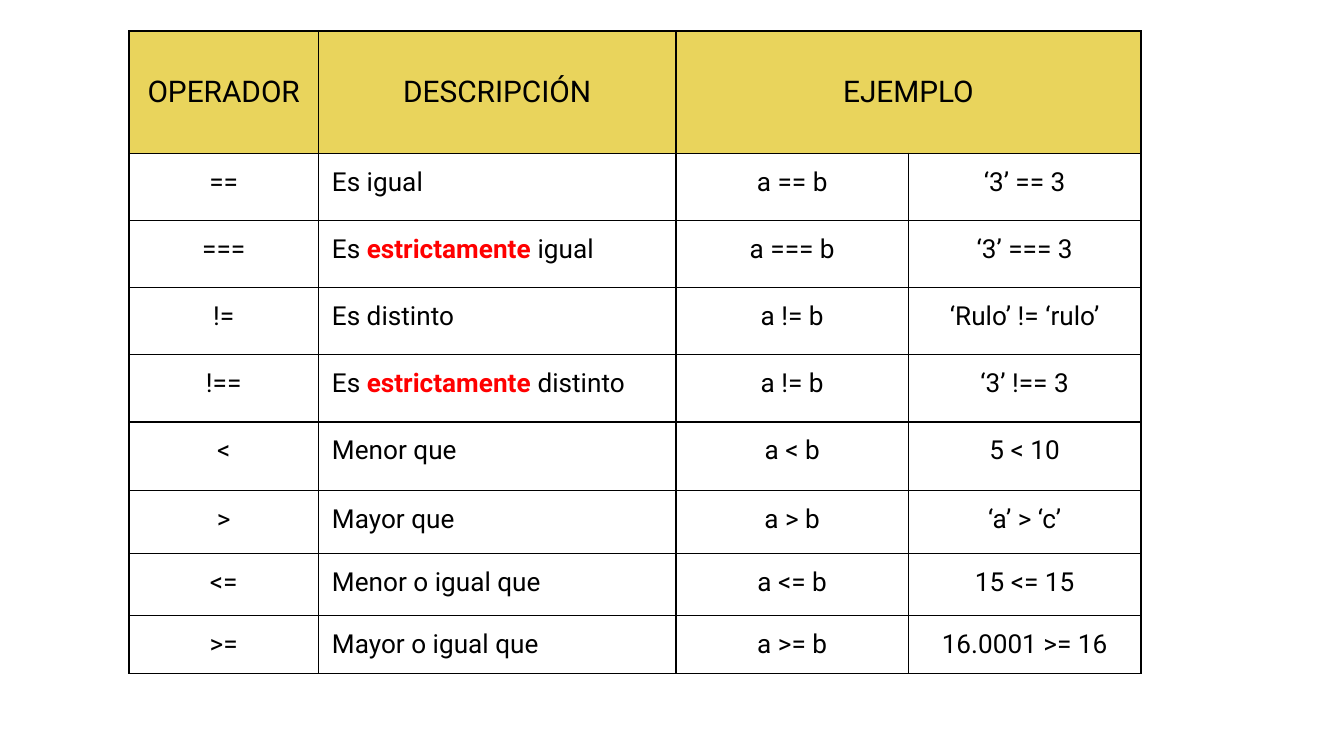
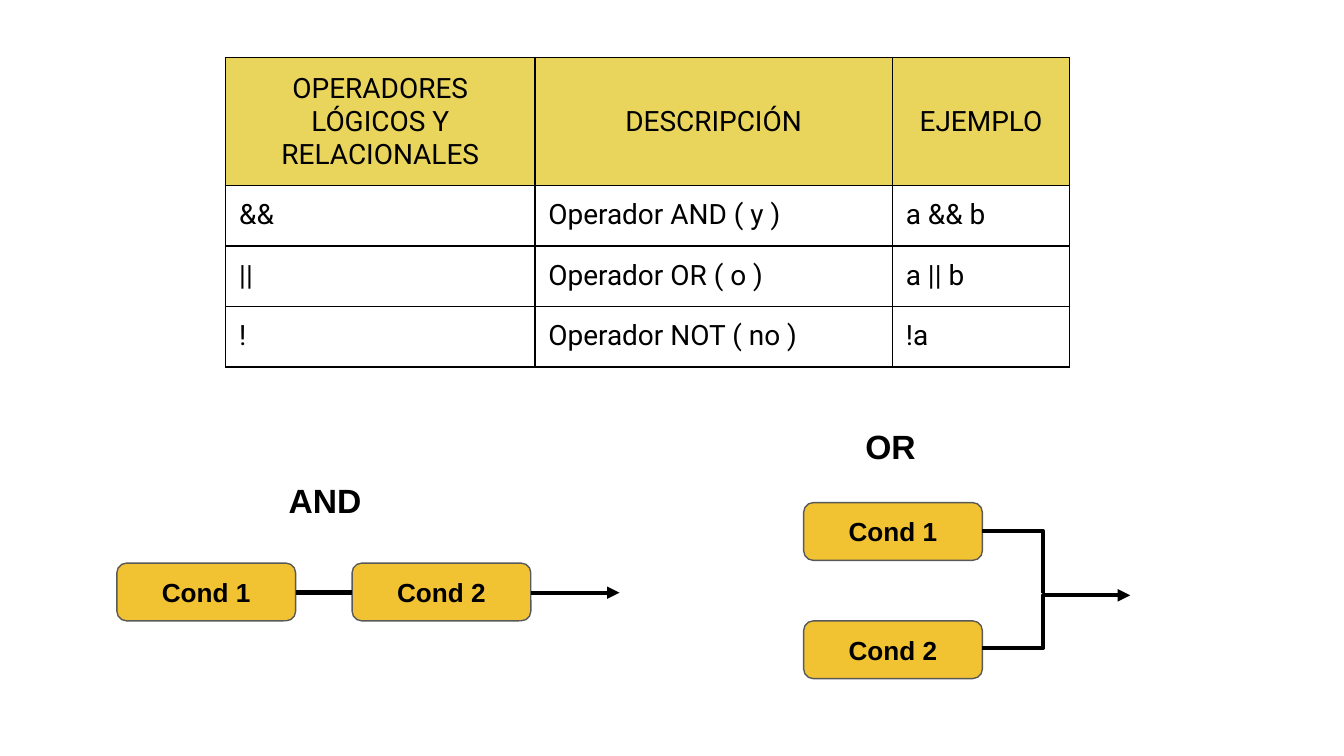
"""Builds two slides on comparison and logical operators."""
from lxml import etree
from pptx import Presentation
from pptx import util as u
from pptx.dml.color import RGBColor
from pptx.enum import shapes, text
from pptx.oxml import ns

PX = 9144
SLIDE_W = 1000 * PX
SLIDE_H = SLIDE_W * 9 // 16
BLACK = RGBColor(0x00, 0x00, 0x00)
RED = RGBColor(0xFF, 0x00, 0x00)
HEADER = RGBColor(0xE9, 0xD4, 0x5C)
AMBER = RGBColor(0xF1, 0xC2, 0x32)
GREY = RGBColor(0x59, 0x59, 0x59)
LEFT, CENTER = text.PP_ALIGN.LEFT, text.PP_ALIGN.CENTER
INSET = 10
BOX_W, BOX_H = 133, 43

COMPARISON = {
    "at": (96, 23),
    "cols": (141, 266, 173, 173),
    "rows": (91, 50, 50, 50, 50, 51, 47, 46, 43),
    "sizes": (16, 14),
    "aligns": (CENTER, LEFT, CENTER, CENTER),
    "cells": [
        ("OPERADOR", "DESCRIPCIÓN", "EJEMPLO"),
        ("==", "Es igual", "a == b", "‘3’ == 3"),
        ("===", "Es *estrictamente *igual", "a === b", "‘3’ === 3"),
        ("!=", "Es distinto", "a != b", "‘Rulo’ != ‘rulo’"),
        ("!==", "Es *estrictamente *distinto", "a != b", "‘3’ !== 3"),
        ("<", "Menor que", "a < b", "5 < 10"),
        (">", "Mayor que", "a > b", "‘a’ > ‘c’"),
        ("<=", "Menor o igual que", "a <= b", "15 <= 15"),
        (">=", "Mayor o igual que", "a >= b", "16.0001 >= 16"),
    ],
}
LOGICAL = {
    "at": (168, 43),
    "cols": (230, 266, 132),
    "rows": (79, 41, 41, 41),
    "sizes": (15, 15),
    "aligns": (LEFT, LEFT, LEFT),
    "cells": [
        ("OPERADORES LÓGICOS Y RELACIONALES", "DESCRIPCIÓN", "EJEMPLO"),
        ("&&", "Operador AND ( y )", "a && b"),
        ("||", "Operador OR ( o )", "a || b"),
        ("!", "Operador NOT ( no )", "!a"),
    ],
}
CONDITIONS = [("Cond 1", 87, 419), ("Cond 2", 262, 419),
              ("Cond 1", 598, 374), ("Cond 2", 598, 462)]
LABELS = [("AND", 205, 347), ("OR", 634, 307)]
WIRES = [
    ("line", (220, 441), (262, 441), 3, False, None),
    ("line", (395, 441), (461, 441), 2.25, True, None),
    ("bentConnector2", (731, 395), (776, 441), 2.25, False, None),
    ("bentConnector3", (731, 482), (841, 443), 2.25, True, 41300),
]


def px(*values):
    return [u.Emu(v * PX) for v in values]


def sub(parent, tag, **attrs):
    return etree.SubElement(parent, ns.qn(tag), attrs)


def set_insets(target):
    for side in ("left", "right", "top", "bottom"):
        setattr(target, f"margin_{side}", u.Emu(INSET * PX))


def add_run(p, words, size, font, color=BLACK, bold=False):
    r = p.add_run()
    r.text = words
    r.font.size, r.font.name, r.font.bold = u.Pt(size), font, bold
    r.font.color.rgb = color


def set_borders(cell):
    tc_pr = cell._tc.get_or_add_tcPr()
    for i, side in enumerate("LRTB"):
        ln = etree.Element(ns.qn(f"a:ln{side}"), w=str(u.Pt(0.75)))
        sub(sub(ln, "a:solidFill"), "a:srgbClr", val=str(BLACK))
        tc_pr.insert(i, ln)


def fill_cell(cell, words, header, size, align):
    set_insets(cell)
    if header:
        cell.fill.solid()
        cell.fill.fore_color.rgb = HEADER
        cell.vertical_anchor = text.MSO_ANCHOR.MIDDLE
    else:
        cell.fill.background()
    set_borders(cell)
    p = cell.text_frame.paragraphs[0]
    p.alignment = CENTER if header else align
    for i, part in enumerate(words.split("*")):
        marked = i % 2 == 1
        add_run(p, part, size, "Roboto", RED if marked else BLACK, marked)


def add_operator_table(s, data):
    rows, cols = data["rows"], data["cols"]
    frame = s.shapes.add_table(len(rows), len(cols),
                               *px(*data["at"], sum(cols), sum(rows)))
    table = frame.table
    table.first_row = table.horz_banding = False
    for col, width in zip(table.columns, px(*cols)):
        col.width = width
    for row, height in zip(table.rows, px(*rows)):
        row.height = height
    for y, line in enumerate(data["cells"]):
        padded = line + ("",) * (len(cols) - len(line))
        for x, words in enumerate(padded):
            fill_cell(table.cell(y, x), words, y == 0,
                      data["sizes"][y > 0], data["aligns"][x])
        if len(line) < len(cols):
            table.cell(y, len(line) - 1).merge(table.cell(y, len(cols) - 1))


def add_condition(s, words, x, y):
    sp = s.shapes.add_shape(shapes.MSO_SHAPE.ROUNDED_RECTANGLE,
                            *px(x, y, BOX_W, BOX_H))
    sp.shadow.inherit = False
    sp.fill.solid()
    sp.fill.fore_color.rgb = AMBER
    sp.line.color.rgb, sp.line.width = GREY, u.Pt(0.75)
    tf = sp.text_frame
    set_insets(tf)
    tf.word_wrap, tf.vertical_anchor = True, text.MSO_ANCHOR.MIDDLE
    p = tf.paragraphs[0]
    p.alignment = CENTER
    add_run(p, words, 14, "Arial", bold=True)


def add_label(s, words, x, y):
    tf = s.shapes.add_textbox(*px(x, y, 97, 50)).text_frame
    set_insets(tf)
    tf.word_wrap, tf.auto_size = True, text.MSO_AUTO_SIZE.SHAPE_TO_FIT_TEXT
    add_run(tf.paragraphs[0], words, 18, "Arial", bold=True)


def add_wire(s, preset, start, end, width, arrow, bend):
    kind = shapes.MSO_CONNECTOR
    cx = s.shapes.add_connector(kind.STRAIGHT if preset == "line" else kind.ELBOW,
                                *px(*start, *end))
    cx.line.color.rgb, cx.line.width = BLACK, u.Pt(width)
    sp_pr = cx._element.spPr
    geom = sp_pr.find(ns.qn("a:prstGeom"))
    geom.set("prst", preset)
    if bend:
        sub(geom.find(ns.qn("a:avLst")), "a:gd", name="adj1", fmla=f"val {bend}")
    if arrow:
        sub(sp_pr.find(ns.qn("a:ln")), "a:tailEnd", type="triangle")
    sub(sp_pr, "a:effectLst")


def main():
    prs = Presentation()
    prs.slide_width, prs.slide_height = u.Emu(SLIDE_W), u.Emu(SLIDE_H)
    blank = prs.slide_layouts[6]

    add_operator_table(prs.slides.add_slide(blank), COMPARISON)

    s = prs.slides.add_slide(blank)
    for condition in CONDITIONS:
        add_condition(s, *condition)
    for wire in WIRES:
        add_wire(s, *wire)
    for label in LABELS:
        add_label(s, *label)
    add_operator_table(s, LOGICAL)
    prs.save("out.pptx")


if __name__ == "__main__":
    main()
